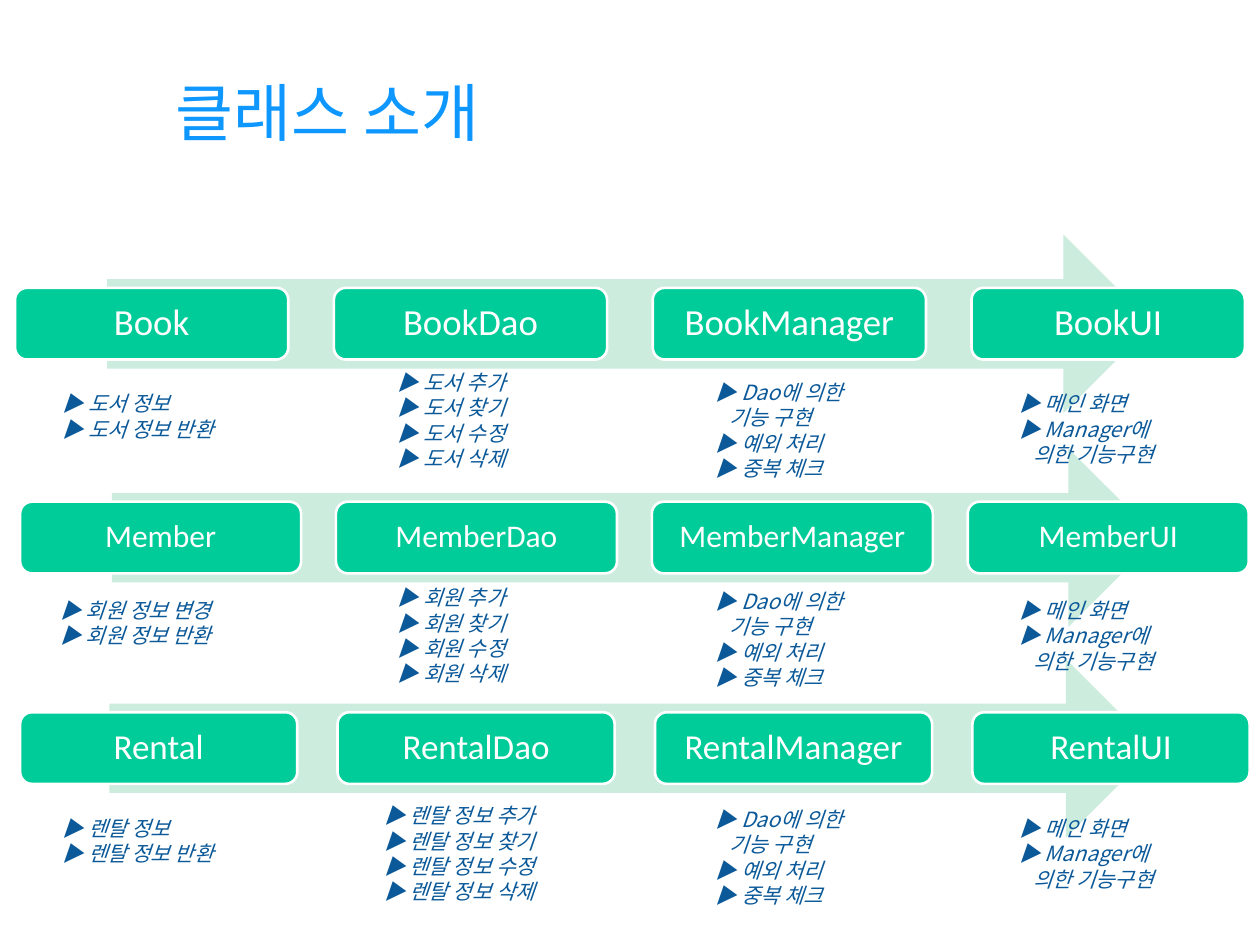
from pptx import Presentation
from pptx import util as u
from pptx.dml.color import RGBColor
from pptx.enum import shapes, text

HEX = {"title": "0D97FF", "arrow": "CCECDE", "box": "00CC99",
       "white": "FFFFFF", "note": "0B5999"}
KIND = shapes.MSO_SHAPE
MID = text.MSO_ANCHOR.MIDDLE
SANS = "Noto Sans CJK KR"


def rgb(key):
    return RGBColor.from_string(HEX[key])


def put(obj, vals):
    for key, val in vals.items():
        setattr(obj, key, val)


class Deck:
    """Holds the style and the current slide."""
    title = {"size": u.Pt(36), "name": SANS}
    note = {"size": u.Pt(12), "name": SANS, "italic": True}
    label = {"name": "Calibri"}

    def __init__(self, wide, high):
        self.prs = Presentation()
        put(self.prs, {"slide_width": u.Pt(wide), "slide_height": u.Pt(high)})
        self.slide = self.prs.slides.add_slide(self.prs.slide_layouts[6])

    def words(self, para, line, font, hue):
        run = para.add_run()
        run.text = line
        put(run.font, font)
        run.font.color.rgb = rgb(hue)
        # East Asian letters take the same font
        east = run._r.get_or_add_rPr().makeelement(
            "{http://schemas.openxmlformats.org/drawingml/2006/main}ea",
            {"typeface": font["name"]})
        run._r.rPr.append(east)

    def shape(self, kind, area, hue):
        item = self.slide.shapes.add_shape(kind, *map(u.Pt, area))
        item.shadow.inherit = False
        item.fill.solid()
        item.fill.fore_color.rgb = rgb(hue)
        item.line.fill.background()
        return item

    def arrow(self, area):
        self.shape(KIND.RIGHT_ARROW, area, "arrow")

    def box(self, area, name, size):
        item = self.shape(KIND.ROUNDED_RECTANGLE, area, "box")
        item.line.color.rgb = rgb("white")
        item.line.width = u.Pt(1.5)
        put(item.text_frame, {"vertical_anchor": MID, "word_wrap": True,
                              "margin_left": u.Pt(6), "margin_right": u.Pt(6)})
        para = item.text_frame.paragraphs[0]
        put(para, {"alignment": text.PP_ALIGN.CENTER, "line_spacing": 0.9})
        self.words(para, name, {**self.label, "size": u.Pt(size)}, "white")

    def frame(self, area):
        frame = self.slide.shapes.add_textbox(*map(u.Pt, area)).text_frame
        frame.word_wrap = True
        return frame

    def head(self, area, line):
        frame = self.frame(area)
        frame.vertical_anchor = MID
        para = frame.paragraphs[0]
        para.alignment = text.PP_ALIGN.CENTER
        self.words(para, line, self.title, "title")

    def notes(self, area, lines):
        frame = self.frame(area)
        for num, line in enumerate(lines):
            para = frame.add_paragraph() if num else frame.paragraphs[0]
            para.line_spacing = u.Pt(14.5)
            if not line.startswith("▶"):  # continued line
                para._p.get_or_add_pPr().set("marL", str(u.Pt(8)))
            self.words(para, line, self.note, "note")


# Columns shared by every row
PARTS = ["", "Dao", "Manager", "UI"]
ACTS = ["추가", "찾기", "수정", "삭제"]
LOGIC = ["▶ Dao에 의한", "기능 구현", "▶ 예외 처리", "▶ 중복 체크"]
SCREEN = ["▶ 메인 화면", "▶ Manager에", "의한 기능구현"]

# Class, label size, arrow left and top, box left, width and pitch
FLOWS = [("Book", 21, 61.2, 134, 8.6, 156.2, 182.2),
         ("Member", 18, 64, 256.2, 11.5, 160.6, 180.5),
         ("Rental", 20, 62.6, 376.5, 11.5, 158.4, 181.4)]

# Subject of the actions, data lines, note lefts and tops
NOTES = [("도서", ["▶ 도서 정보", "▶ 도서 정보 반환"],
          (28.8, 220.3), (219.6, 207.4, 213.1)),
         ("회원", ["▶ 회원 정보 변경", "▶ 회원 정보 반환"],
          (27.4, 220.3), (337.7, 330.5, 332.6)),
         ("렌탈 정보", ["▶ 렌탈 정보", "▶ 렌탈 정보 반환"],
          (28.8, 212.4), (462.2, 455, 457.2))]


def main():
    deck = Deck(720, 540)
    deck.head((70.6, 20.9, 232.6, 85), "클래스 소개")

    # Arrows with their class boxes
    for name, size, left, top, start, wide, step in FLOWS:
        deck.arrow((left, top, 597.6, 102.2))
        for col, part in enumerate(PARTS):
            deck.box((start + col * step, top + 30.5, wide, 41),
                     name + part, size)

    # Notes under the boxes
    for topic, data, (one, two), (low, high, mid) in NOTES:
        acts = [f"▶ {topic} {act}" for act in ACTS]
        deck.notes((one, low, 150, 36), data)
        deck.notes((two, high, 133, 65), acts)
        deck.notes((401.8, mid, 130, 65), LOGIC)
        deck.notes((575.3, low, 119, 51), SCREEN)

    deck.prs.save("out.pptx")


if __name__ == "__main__":
    main()
